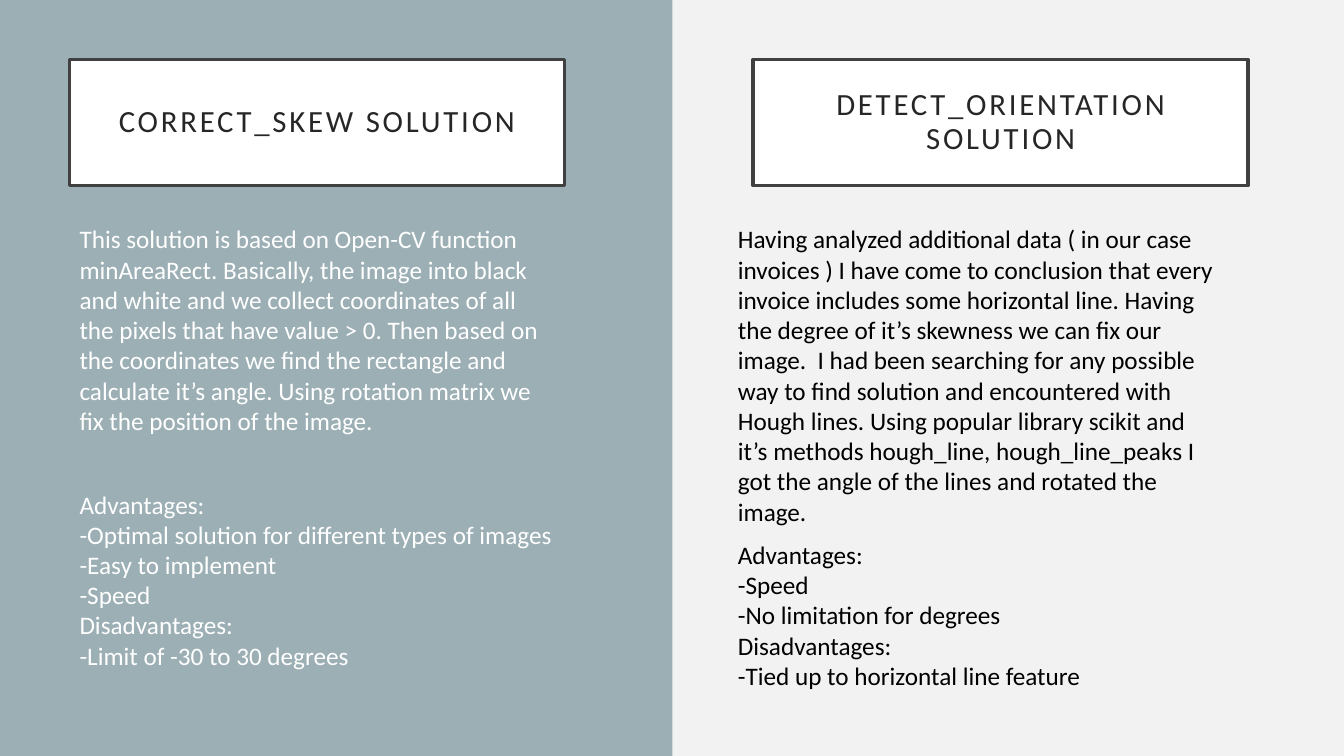
from pptx import Presentation
from pptx import util as u
from pptx.dml.color import RGBColor
from pptx.enum import shapes, text

PX = 9144  # EMU per px, 100 px to the inch
WIDTH, HEIGHT = 1333, 750
COLUMN_WIDTH = 491
TITLE_TOP, TITLE_HEIGHT = 59, 125
BODY_TOP = 217
TITLE_FORMAT = {"name": "Calibri", "size": u.Pt(22), "bold": False}
BODY_FORMAT = {"name": "Calibri", "size": u.Pt(18)}

SKEW = {
    "title": ["CORRECT_SKEW SOLUTION"],
    "summary": "This solution is based on Open-CV function minAreaRect. Basically, "
               "the image into black and white and we collect coordinates of all the "
               "pixels that have value > 0. Then based on the coordinates we find the "
               "rectangle and calculate it’s angle. Using rotation matrix we fix the "
               "position of the image.",
    "points": ["Advantages:", "-Optimal solution for different types of images",
               "-Easy to implement", "-Speed", "Disadvantages:",
               "-Limit of -30 to 30 degrees"],
}
ORIENTATION = {
    "title": ["DETECT_ORIENTATION", "SOLUTION"],
    "summary": "Having analyzed additional data ( in our case invoices ) I have come "
               "to conclusion that every invoice includes some horizontal line. Having "
               "the degree of it’s skewness we can fix our image.  I had been searching "
               "for any possible way to find solution and encountered with Hough lines. "
               "Using popular library scikit and it’s methods hough_line, "
               "hough_line_peaks I got the angle of the lines and rotated the image.",
    "points": ["Advantages:", "-Speed", "-No limitation for degrees",
               "Disadvantages:", "-Tied up to horizontal line feature"],
}


def color(value):
    return RGBColor.from_string(value)


def px(*lengths):
    return [length * PX for length in lengths]


def apply_format(target, values):
    for name, value in values.items():
        setattr(target, name, value)


def fill_solid(target, value):
    target.fill.solid()
    target.fill.fore_color.rgb = color(value)


def write_lines(frame, lines, font_format, font_color, paragraph_format):
    for index, line in enumerate(lines):
        paragraph = frame.paragraphs[0] if index == 0 else frame.add_paragraph()
        apply_format(paragraph, paragraph_format)
        run = paragraph.add_run()
        run.text = line
        apply_format(run.font, font_format)
        run.font.color.rgb = color(font_color)
        yield run


def format_title(shape, lines, left):
    """White framed box with spaced capitals."""
    box = px(left, TITLE_TOP, COLUMN_WIDTH, TITLE_HEIGHT)
    apply_format(shape, dict(zip(("left", "top", "width", "height"), box)))
    fill_solid(shape, "FFFFFF")
    shape.line.color.rgb = color("404040")
    shape.line.width = u.Pt(2.5)
    frame = shape.text_frame
    margins = dict.fromkeys(
        ("margin_left", "margin_top", "margin_right", "margin_bottom"), 20 * PX)
    apply_format(frame, {**margins, "word_wrap": True,
                         "auto_size": text.MSO_AUTO_SIZE.NONE,
                         "vertical_anchor": text.MSO_ANCHOR.MIDDLE})
    layout = {"alignment": text.PP_ALIGN.CENTER, "line_spacing": 0.9,
              "space_before": u.Pt(0)}
    for run in write_lines(frame, lines, TITLE_FORMAT, "262626", layout):
        run.font._element.set("spc", "200")


def add_body(slide, lines, box, font_color):
    frame = slide.shapes.add_textbox(*px(*box)).text_frame
    apply_format(frame, {"word_wrap": True,
                         "auto_size": text.MSO_AUTO_SIZE.SHAPE_TO_FIT_TEXT})
    list(write_lines(frame, lines, BODY_FORMAT, font_color, {}))


def add_column(slide, content, title, title_left, body_left, heights, gap, font_color):
    """Title box, summary and list of points, stacked downwards."""
    format_title(title, content["title"], title_left)
    summary_height, points_height = heights
    add_body(slide, [content["summary"]],
             (body_left, BODY_TOP, COLUMN_WIDTH, summary_height), font_color)
    add_body(slide, content["points"],
             (body_left, BODY_TOP + summary_height + gap, COLUMN_WIDTH, points_height),
             font_color)


def add_panel(slide):
    """Coloured left half, behind the title."""
    panel = slide.shapes.add_shape(shapes.MSO_SHAPE.RECTANGLE, *px(0, 0, 667, HEIGHT))
    panel.shadow.inherit = False
    fill_solid(panel, "9BAFB5")
    panel.line.fill.background()
    slide.shapes.title.element.addprevious(panel.element)


def build_comparison(presentation):
    slide = presentation.slides.add_slide(presentation.slide_layouts[5])
    fill_solid(slide.background, "F2F2F2")
    add_panel(slide)

    # Left column: skew correction
    add_column(slide, SKEW, slide.shapes.title, 69, 69, (222, 192), 41, "FFFFFF")

    # Right column: orientation detection
    second_title = slide.shapes.add_shape(
        shapes.MSO_SHAPE.RECTANGLE, *px(747, TITLE_TOP, COLUMN_WIDTH, TITLE_HEIGHT))
    second_title.shadow.inherit = False
    add_column(slide, ORIENTATION, second_title, 747, 722, (313, 162), 0, "000000")


def main():
    presentation = Presentation()
    presentation.slide_width, presentation.slide_height = px(WIDTH, HEIGHT)
    build_comparison(presentation)
    presentation.save("out.pptx")


if __name__ == "__main__":
    main()
